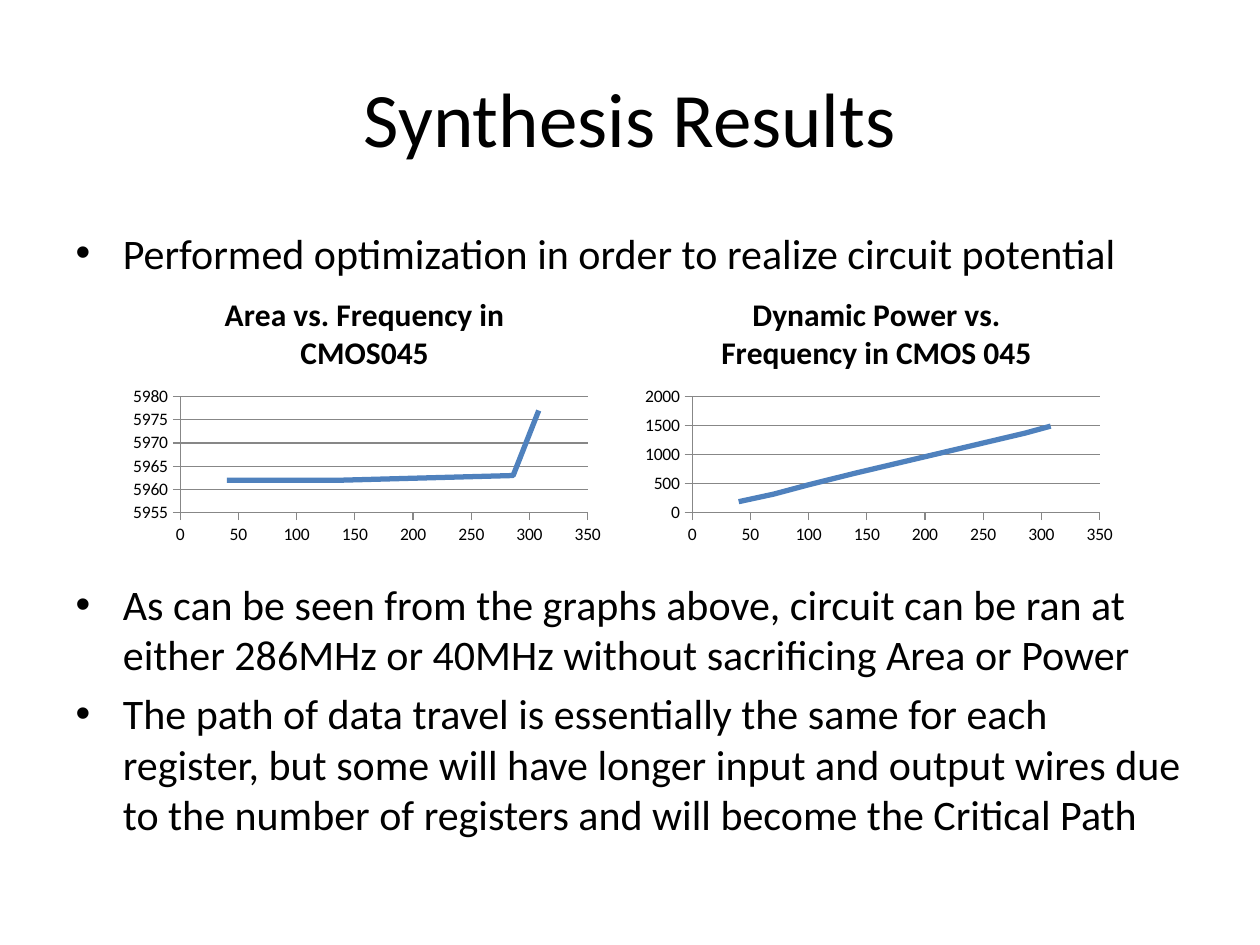
from dataclasses import dataclass
from pptx import Presentation
from pptx.chart.data import XyChartData
from pptx.dml.color import RGBColor
from pptx.enum.chart import XL_CHART_TYPE, XL_TICK_MARK
from pptx.oxml import parse_xml
from pptx.oxml.ns import qn, nsdecls
from pptx.util import Cm, Pt

# Content
TITLE = "Synthesis Results"
POINTS = [
    "Performed optimization in order to realize circuit potential",
    "As can be seen from the graphs above, circuit can be ran at either "
    "286MHz or 40MHz without sacrificing Area or Power",
    "The path of data travel is essentially the same for each register, but "
    "some will have longer input and output wires due to the number of "
    "registers and will become the Critical Path",
]
FREQ = [40, 70, 100, 140, 286, 308]
CHARTS = [
    {"title": "Area vs. Frequency in CMOS045",
     "vals": [5962, 5962, 5962, 5962, 5963, 5977], "scale": (5955, 5980, 5)},
    {"title": "Dynamic Power vs. Frequency in CMOS 045",
     "vals": [190, 320, 480, 680, 1370, 1490], "scale": (0, 2000, 500)},
]


@dataclass
class Theme:
    font: str = "Calibri"
    ink: RGBColor = RGBColor(0, 0, 0)
    line: RGBColor = RGBColor(0x4F, 0x81, 0xBD)
    grid: RGBColor = RGBColor(0x87, 0x87, 0x87)
    head: int = 44
    body: int = 24
    name: int = 18
    tick: int = 10


theme = Theme()

# Places in cm
EDGE, WIDE = 1.27, 22.86
LEFT, TOP, STEP = 2.46, 5.54, 10.32
SIZE = (9.78, 5.58)
PLOT = {"x": 0.12, "y": 0.44, "w": 0.84, "h": 0.42}
GAP = Pt(172)  # room for the charts between the first two points


def style(font, size, bold=False):
    font.name, font.size, font.bold = theme.font, Pt(size), bold
    font.color.rgb = theme.ink


def fill(box, lines, top, high, size):
    box.left, box.top = Cm(EDGE), Cm(top)
    box.width, box.height = Cm(WIDE), Cm(high)
    box.text_frame.text = "\n".join(lines)
    for para in box.text_frame.paragraphs:
        for run in para.runs:
            style(run.font, size)


def set_axis(axis, low, high, unit, grid):
    axis.minimum_scale, axis.maximum_scale = low, high
    axis.major_unit = unit
    axis.has_major_gridlines = grid
    axis.major_tick_mark = XL_TICK_MARK.OUTSIDE
    axis.minor_tick_mark = XL_TICK_MARK.NONE
    lines = [axis.format.line]
    if grid:
        lines.append(axis.major_gridlines.format.line)
    for line in lines:
        line.color.rgb, line.width = theme.grid, Pt(0.75)


def set_plot(chart):
    area = chart.element.find(".//" + qn("c:plotArea"))
    for old in area.findall(qn("c:layout")):
        area.remove(old)
    parts = "".join(f'<c:{key} val="{val}"/>' for key, val in PLOT.items())
    area.insert(0, parse_xml(
        f'<c:layout {nsdecls("c")}><c:manualLayout>'
        '<c:layoutTarget val="inner"/><c:xMode val="edge"/>'
        f'<c:yMode val="edge"/>{parts}</c:manualLayout></c:layout>'))


def add_graph(slide, item, left):
    data = XyChartData()
    row = data.add_series("Series 1")
    for freq, val in zip(FREQ, item["vals"]):
        row.add_data_point(freq, val)
    chart = slide.shapes.add_chart(
        XL_CHART_TYPE.XY_SCATTER_LINES_NO_MARKERS,
        Cm(left), Cm(TOP), Cm(SIZE[0]), Cm(SIZE[1]), data).chart
    style(chart.font, theme.tick)
    chart.has_legend = False
    chart.has_title = True
    frame = chart.chart_title.text_frame
    frame.text = item["title"]
    style(frame.paragraphs[0].runs[0].font, theme.name, True)
    set_axis(chart.category_axis, 0, 350, 50, False)
    set_axis(chart.value_axis, *item["scale"], True)
    set_plot(chart)
    plot = chart.plots[0]
    plot.vary_by_categories = False
    curve = plot.series[0]
    curve.smooth = False
    curve.format.line.color.rgb = theme.line
    curve.format.line.width = Pt(3)


def main():
    deck = Presentation()
    deck.slide_width, deck.slide_height = Cm(25.4), Cm(19.05)
    slide = deck.slides.add_slide(deck.slide_layouts[1])

    # Title and list
    fill(slide.shapes.title, [TITLE], 0.76, 3.18, theme.head)
    body = slide.placeholders[1]
    fill(body, POINTS, 4.45, 12.57, theme.body)
    body.text_frame.paragraphs[1].space_before = GAP

    # Charts side by side
    for num, item in enumerate(CHARTS):
        add_graph(slide, item, LEFT + num * STEP)

    deck.save("out.pptx")


if __name__ == "__main__":
    main()
